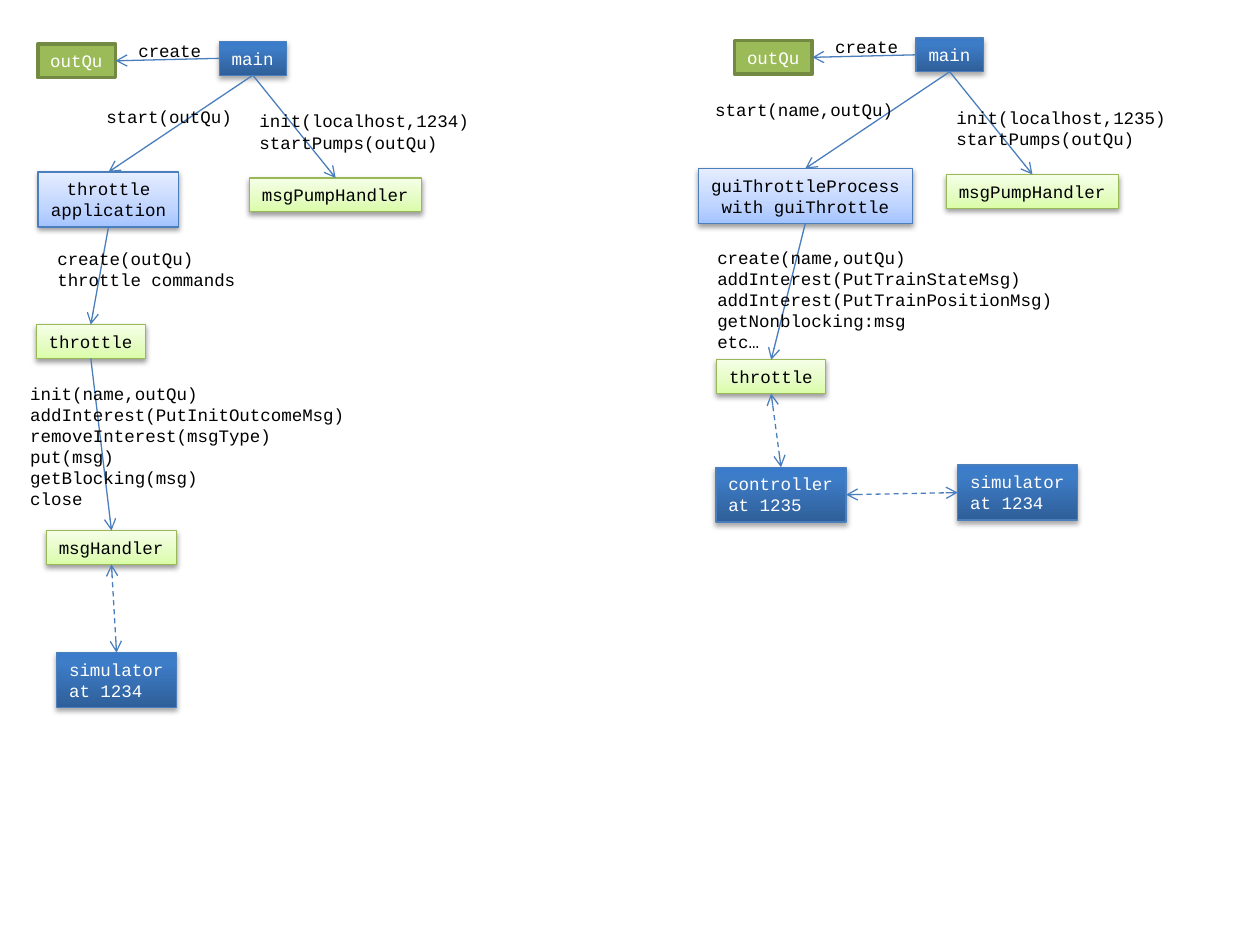
from lxml import etree
from pptx import Presentation
from pptx.dml.color import RGBColor
from pptx.enum.dml import MSO_LINE
from pptx.enum.shapes import MSO_CONNECTOR, MSO_SHAPE
from pptx.enum.text import MSO_ANCHOR, MSO_AUTO_SIZE, PP_ALIGN
from pptx.oxml import parse_xml
from pptx.oxml.ns import qn
from pptx.util import Pt

WHITE = RGBColor(0xFF, 0xFF, 0xFF)
BLACK = RGBColor(0, 0, 0)
BLUE = RGBColor(0x4B, 0x7E, 0xBC)
LIME = RGBColor(0x98, 0xB9, 0x55)
OLIVE = RGBColor(0x9B, 0xBB, 0x59)
DARK_OLIVE = RGBColor(0x73, 0x8A, 0x42)

# Gradient stops as (percent, colour)
DEEP_STOPS = [(0, RGBColor(0x2F, 0x5F, 0x99)), (80, RGBColor(0x3D, 0x7C, 0xC7)),
              (100, RGBColor(0x3A, 0x7C, 0xCB))]
GREEN_STOPS = [(0, RGBColor(0xDA, 0xFD, 0xA7)), (35, RGBColor(0xE4, 0xFC, 0xC2)),
               (100, RGBColor(0xF5, 0xFF, 0xE7))]
PALE_STOPS = [(0, RGBColor(0xA4, 0xC4, 0xFF)), (35, RGBColor(0xBF, 0xD4, 0xFF)),
              (100, RGBColor(0xE6, 0xEE, 0xFF))]

# Box styles: stops, line colour, text colour, shadow opacity, shadow distance
PROCESS = (DEEP_STOPS, BLUE, WHITE, 35, 1.8)
HANDLER = (GREEN_STOPS, LIME, BLACK, 38, 1.6)
APPLICATION = (PALE_STOPS, BLUE, BLACK, 38, 1.6)

TOP, LEFT, BOTTOM, RIGHT = range(4)  # connection sites of a rectangle
A_NS = 'xmlns:a="http://schemas.openxmlformats.org/drawingml/2006/main"'


def text_size(text):
    """Box size that fits 10 pt Courier New with the default insets."""
    lines = text.split("\n")
    return 6 * max(map(len, lines)) + 14.4, 12.1 * len(lines) + 7.2


def write(shape, text, color, align=PP_ALIGN.LEFT):
    frame = shape.text_frame
    frame.text = text
    frame.word_wrap = False
    frame.auto_size = MSO_AUTO_SIZE.SHAPE_TO_FIT_TEXT
    frame.vertical_anchor = MSO_ANCHOR.TOP
    for paragraph in frame.paragraphs:
        paragraph.alignment = align
        font = paragraph.runs[0].font
        font.name, font.size, font.color.rgb = "Courier New", Pt(10), color


def add_label(slide, x, y, text):
    w, h = text_size(text)
    write(slide.shapes.add_textbox(Pt(x), Pt(y), Pt(w), Pt(h)), text, BLACK)


def add_rect(slide, x, y, text):
    w, h = text_size(text)
    rect = slide.shapes.add_shape(MSO_SHAPE.RECTANGLE, Pt(x), Pt(y), Pt(w), Pt(h))
    rect.shadow.inherit = False
    return rect


def add_queue(slide, x, y):
    queue = add_rect(slide, x, y, "outQu")
    queue.fill.solid()
    queue.fill.fore_color.rgb = OLIVE
    queue.line.color.rgb, queue.line.width = DARK_OLIVE, Pt(2)
    write(queue, "outQu", WHITE)
    return queue


def add_box(slide, x, y, text, style, align=PP_ALIGN.LEFT):
    stops, line_color, text_color, opacity, distance = style
    box = add_rect(slide, x, y, text)
    # Gradient goes right after the geometry, the shadow into the effect list
    stops_xml = "".join(f'<a:gs pos="{pos * 1000}"><a:srgbClr val="{color}"/></a:gs>'
                        for pos, color in stops)
    properties = box._element.spPr
    properties.find(qn("a:prstGeom")).addnext(parse_xml(
        f'<a:gradFill {A_NS} rotWithShape="1"><a:gsLst>{stops_xml}</a:gsLst>'
        '<a:lin ang="16200000" scaled="0"/></a:gradFill>'))
    properties.find(qn("a:effectLst")).append(parse_xml(
        f'<a:outerShdw {A_NS} blurRad="{Pt(3.1)}" dist="{Pt(distance)}" dir="5400000" '
        f'rotWithShape="0"><a:srgbClr val="000000"><a:alpha val="{opacity * 1000}"/>'
        '</a:srgbClr></a:outerShdw>'))
    box.line.color.rgb, box.line.width = line_color, Pt(0.75)
    write(box, text, text_color, align)
    return box


def add_arrow(slide, start, start_site, end, end_site, two_way=False):
    """Solid arrow for a call; dashed double arrow for a network link."""
    arrow = slide.shapes.add_connector(MSO_CONNECTOR.STRAIGHT, 0, 0, 0, 0)
    arrow.begin_connect(start, start_site)
    arrow.end_connect(end, end_site)
    arrow.line.color.rgb, arrow.line.width = BLUE, Pt(0.75)
    if two_way:
        arrow.line.dash_style = MSO_LINE.DASH
    outline = arrow.line._get_or_add_ln()
    for end_tag in (["a:headEnd"] if two_way else []) + ["a:tailEnd"]:
        etree.SubElement(outline, qn(end_tag)).set("type", "arrow")
    etree.SubElement(arrow._element.spPr, qn("a:effectLst"))


def add_startup(slide, x, y, port, app_text):
    """Top of a diagram: main with its queue, pump handler and application."""
    main = add_box(slide, x + 125.3, y + 23.7, "main", PROCESS)
    queue = add_queue(slide, x + 21.6, y + 25.1)
    pump = add_box(slide, x + 142.6, y + 101.7, "msgPumpHandler", HANDLER)
    app_x = x + 62 - text_size(app_text)[0] / 2
    app = add_box(slide, app_x, y + 98.3, app_text, APPLICATION, PP_ALIGN.CENTER)
    add_arrow(slide, main, LEFT, queue, RIGHT)
    add_arrow(slide, main, BOTTOM, pump, TOP)
    add_arrow(slide, main, BOTTOM, app, TOP)
    add_label(slide, x + 72, y + 19.2, "create")
    add_label(slide, x + 141.2, y + 59.6, f"init(localhost,{port})\nstartPumps(outQu)")
    return app


def add_direct_diagram(slide, x, y):
    """Application that talks straight to the simulator."""
    app = add_startup(slide, x, y, 1234, "throttle\napplication")
    throttle = add_box(slide, x + 20.7, y + 185.5, "throttle", HANDLER)
    handler = add_box(slide, x + 26.5, y + 303.2, "msgHandler", HANDLER)
    simulator = add_box(slide, x + 32.4, y + 373, "simulator\nat 1234", PROCESS)
    add_arrow(slide, app, BOTTOM, throttle, TOP)
    add_arrow(slide, throttle, BOTTOM, handler, TOP)
    add_arrow(slide, simulator, TOP, handler, BOTTOM, two_way=True)
    add_label(slide, x + 53.7, y + 57, "start(outQu)")
    add_label(slide, x + 25.7, y + 138.3, "create(outQu)\nthrottle commands")
    add_label(slide, x + 10.2, y + 215.3,
              "init(name,outQu)\naddInterest(PutInitOutcomeMsg)\n"
              "removeInterest(msgType)\nput(msg)\ngetBlocking(msg)\nclose")


def add_controller_diagram(slide, x, y):
    """GUI throttle that reaches the simulator through a controller."""
    app = add_startup(slide, x, y, 1235, "guiThrottleProcess\nwith guiThrottle")
    throttle = add_box(slide, x + 11.3, y + 207.6, "throttle", HANDLER)
    controller = add_box(slide, x + 10.9, y + 269, "controller\nat 1235", PROCESS)
    simulator = add_box(slide, x + 149.1, y + 267.8, "simulator\nat 1234", PROCESS)
    add_arrow(slide, app, BOTTOM, throttle, TOP)
    add_arrow(slide, controller, TOP, throttle, BOTTOM, two_way=True)
    add_arrow(slide, controller, RIGHT, simulator, LEFT, two_way=True)
    add_label(slide, x + 3.4, y + 55.3, "start(name,outQu)")
    add_label(slide, x + 4.6, y + 139.5,
              "create(name,outQu)\naddInterest(PutTrainStateMsg)\n"
              "addInterest(PutTrainPositionMsg)\ngetNonblocking:msg\netc…")


presentation = Presentation()
presentation.slide_width, presentation.slide_height = Pt(720), Pt(540)
throttle_slide = presentation.slides.add_slide(presentation.slide_layouts[6])
add_direct_diagram(throttle_slide, 0, 0)
add_controller_diagram(throttle_slide, 398.2, -2)
presentation.save("out.pptx")
